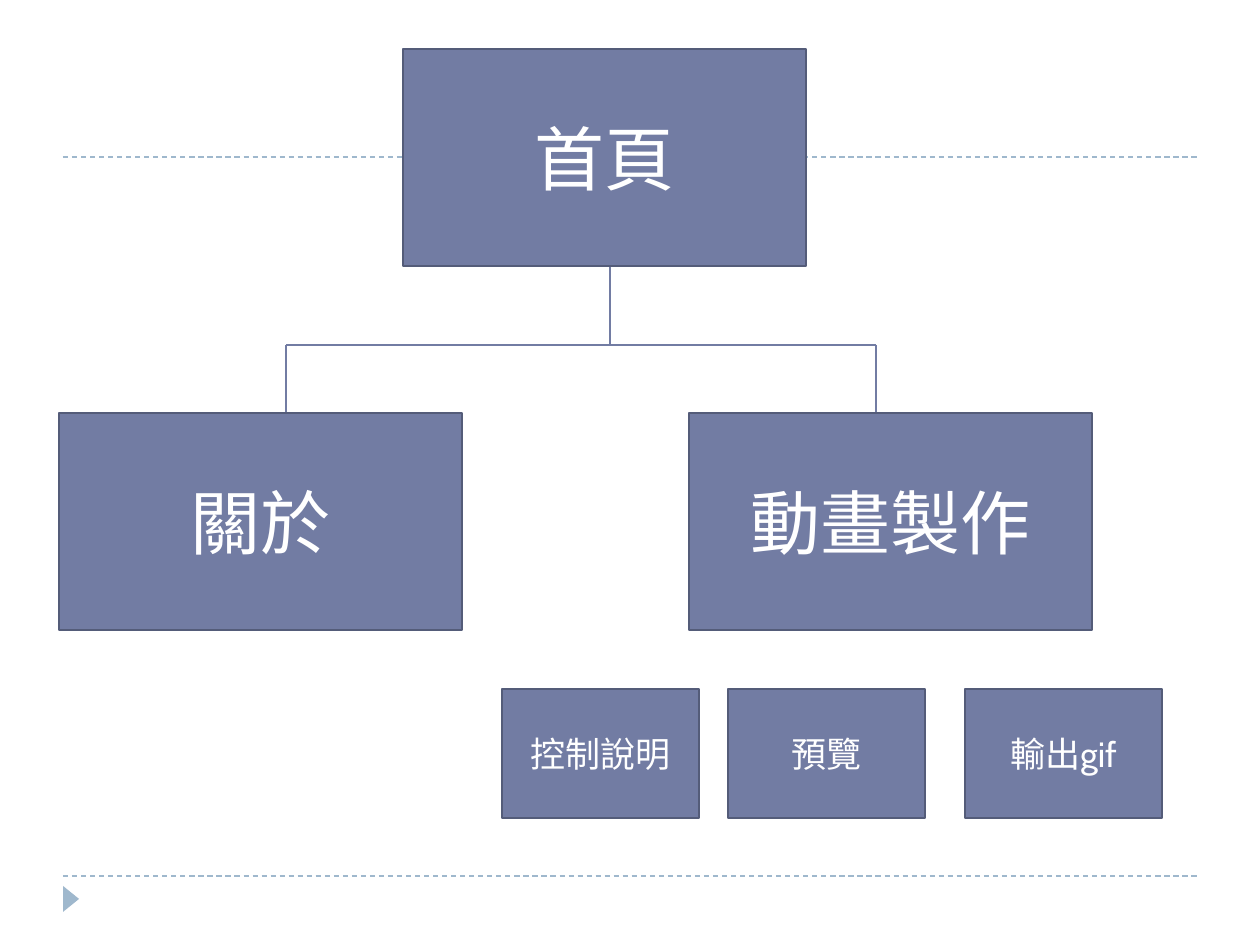
from dataclasses import dataclass

from lxml.etree import SubElement
from pptx import Presentation
from pptx.dml.color import RGBColor
from pptx.enum.dml import MSO_LINE
from pptx.enum.shapes import MSO_CONNECTOR, MSO_SHAPE
from pptx.enum.text import MSO_ANCHOR, PP_ALIGN
from pptx.oxml.ns import qn
from pptx.util import Emu, Pt

PIXEL = 914400 // 126
FONT = "Cabin"
PALE, INDIGO, EDGE, WHITE = "9FB8CD", "727CA3", "545C79", "FFFFFF"


@dataclass(frozen=True)
class Level:
    width: int
    height: int
    text_size: int


@dataclass(frozen=True)
class Page:
    title: str
    left: int
    top: int
    level: Level


@dataclass(frozen=True)
class Line:
    x1: int
    y1: int
    x2: int
    y2: int


def px(value: int) -> Emu:
    return Emu(value * PIXEL)


def paint(target, color: str) -> None:
    """Give a fill a solid colour."""
    target.solid()
    target.fore_color.rgb = RGBColor.from_string(color)


def write(frame, text: str, *, size: int, color: str = WHITE,
          align=PP_ALIGN.CENTER, anchor=MSO_ANCHOR.MIDDLE) -> None:
    frame.word_wrap = True
    frame.vertical_anchor = anchor
    paragraph = frame.paragraphs[0]
    paragraph.alignment = align
    run = paragraph.add_run()
    run.text = text
    run.font.name = FONT
    run.font.size = Pt(size)
    paint(run.font.fill, color)


def draw_line(shapes, line: Line, color: str, dash=None) -> None:
    connector = shapes.add_connector(
        MSO_CONNECTOR.STRAIGHT, px(line.x1), px(line.y1), px(line.x2), px(line.y2))
    paint(connector.line.fill, color)
    connector.line.width = Pt(0.75)
    if dash is not None:
        connector.line.dash_style = dash
    SubElement(connector._element.spPr, qn("a:effectLst"))


def draw_page(shapes, page: Page) -> None:
    level = page.level
    box = shapes.add_shape(MSO_SHAPE.RECTANGLE, px(page.left), px(page.top),
                           px(level.width), px(level.height))
    box.shadow.inherit = False
    paint(box.fill, INDIGO)
    paint(box.line.fill, EDGE)
    box.line.width = Pt(1.5)
    write(box.text_frame, page.title, size=level.text_size)


def draw_marker(shapes) -> None:
    marker = shapes.add_shape(MSO_SHAPE.ISOSCELES_TRIANGLE,
                              px(58), px(891), px(26), px(16))
    marker.rotation = 90
    marker.shadow.inherit = False
    paint(marker.fill, PALE)
    marker.line.fill.background()


# Site map
MAIN = Level(403, 217, 40)
SUB = Level(197, 129, 20)
HOME_TOP, SECTION_TOP, FEATURE_TOP = 49, 413, 689
PAGES = [
    Page("首頁", 403, HOME_TOP, MAIN),
    Page("關於", 59, SECTION_TOP, MAIN),
    Page("動畫製作", 689, SECTION_TOP, MAIN),
    Page("控制說明", 502, FEATURE_TOP, SUB),
    Page("預覽", 728, FEATURE_TOP, SUB),
    Page("輸出gif", 965, FEATURE_TOP, SUB),
]
TRUNK_X, JUNCTION_Y = 610, 345
BRANCHES_X = (286, 876)

presentation = Presentation()
presentation.slide_width = px(1260)
presentation.slide_height = px(945)
slide = presentation.slides.add_slide(presentation.slide_layouts[6])
paint(slide.background.fill, WHITE)

# Dashed rules and corner marker
for rule_y in (876, 157):
    draw_line(slide.shapes, Line(63, rule_y, 1197, rule_y), PALE, MSO_LINE.DASH)
draw_marker(slide.shapes)

# Trunk, then one arm and one drop for each branch
draw_line(slide.shapes, Line(TRUNK_X, JUNCTION_Y, TRUNK_X, HOME_TOP + MAIN.height), INDIGO)
for branch_x in BRANCHES_X:
    draw_line(slide.shapes, Line(TRUNK_X, JUNCTION_Y, branch_x, JUNCTION_Y), INDIGO)
    draw_line(slide.shapes, Line(branch_x, JUNCTION_Y, branch_x, SECTION_TOP), INDIGO)

# Page boxes
for site_page in PAGES:
    draw_page(slide.shapes, site_page)

presentation.save("out.pptx")
